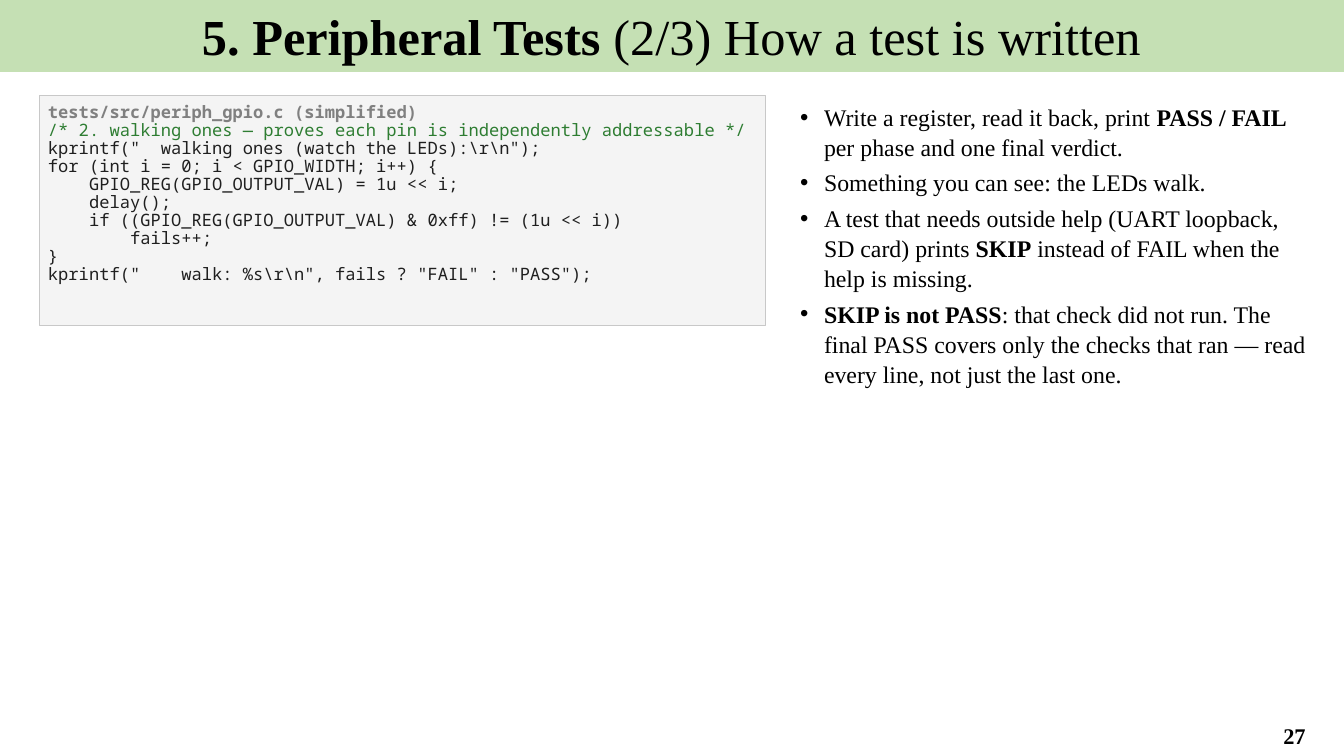
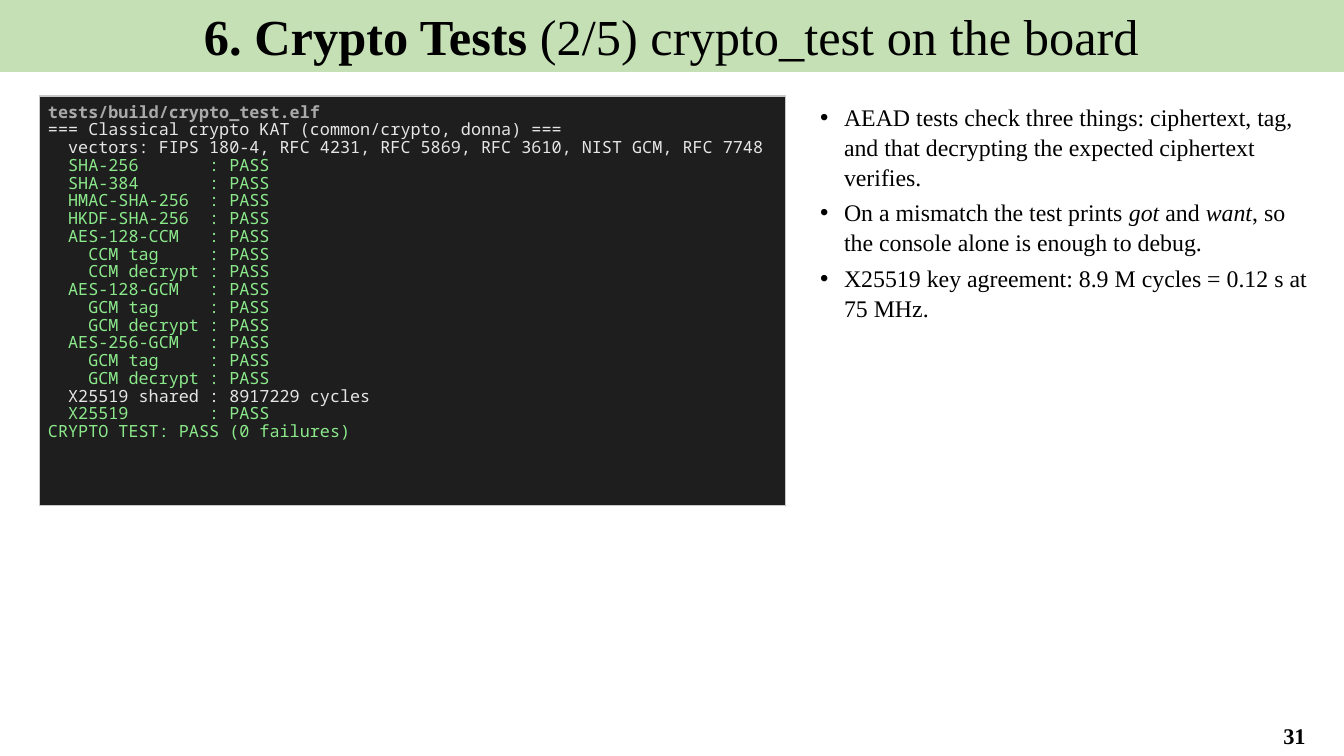
"""Build two test slides, each with a code panel beside bullet notes."""
from pptx import Presentation
from pptx.dml.color import RGBColor
from pptx.enum.shapes import MSO_SHAPE
from pptx.enum.text import MSO_ANCHOR, MSO_AUTO_SIZE, PP_ALIGN
from pptx.oxml.ns import qn
from pptx.util import Pt
from lxml import etree

RECT = MSO_SHAPE.RECTANGLE
TOP, MIDDLE = MSO_ANCHOR.TOP, MSO_ANCHOR.MIDDLE
LEFT, CENTER = PP_ALIGN.LEFT, PP_ALIGN.CENTER
FIXED = MSO_AUTO_SIZE.NONE

SCALE = 914400 / 100.8
SIZE = (1344, 756)
BAND = (-1, 0, 1345, 72)
PAGE = (1245, 716, 99, 39)
EDGE, HEAD, GAP, RIGHT = 40, 96, 20, 1320
HANG = (28, -24)
SERIF, MONO = "Times New Roman", "Noto Sans Mono"
GREEN, BLACK, BORDER = "C5E0B4", "000000", "C8C8C8"

SLIDES = [
    {
        "title": "|5. Peripheral Tests |(2/3) How a test is written",
        "page": "27",
        "panel": (726, 230),
        "depth": 554,
        "size": 12.2,
        "tones": {"fill": "F4F4F4", "head": "808080", "mark": "2E7D32", "plain": "1F1F1F"},
        "mark": "/*",
        "code": r"""tests/src/periph_gpio.c (simplified)
/* 2. walking ones — proves each pin is independently addressable */
kprintf("  walking ones (watch the LEDs):\r\n");
for (int i = 0; i < GPIO_WIDTH; i++) {
    GPIO_REG(GPIO_OUTPUT_VAL) = 1u << i;
    delay();
    if ((GPIO_REG(GPIO_OUTPUT_VAL) & 0xff) != (1u << i))
        fails++;
}
kprintf("    walk: %s\r\n", fails ? "FAIL" : "PASS");""",
        "stress": "bold",
        "notes": [
            "Write a register, read it back, print |PASS / FAIL| per phase and one final verdict.",
            "Something you can see: the LEDs walk.",
            "A test that needs outside help (UART loopback, SD card) prints |SKIP| "
            "instead of FAIL when the help is missing.",
            "|SKIP is not PASS|: that check did not run. The final PASS covers only "
            "the checks that ran — read every line, not just the last one.",
        ],
    },
    {
        "title": "|6. Crypto Tests |(2/5) crypto_test on the board",
        "page": "31",
        "panel": (746, 410),
        "depth": 585,
        "size": 12,
        "tones": {"fill": "1E1E1E", "head": "AAAAAA", "mark": "8BE98B", "plain": "E6E6E6"},
        "mark": "PASS",
        "code": """tests/build/crypto_test.elf
=== Classical crypto KAT (common/crypto, donna) ===
  vectors: FIPS 180-4, RFC 4231, RFC 5869, RFC 3610, NIST GCM, RFC 7748
  SHA-256       : PASS
  SHA-384       : PASS
  HMAC-SHA-256  : PASS
  HKDF-SHA-256  : PASS
  AES-128-CCM   : PASS
    CCM tag     : PASS
    CCM decrypt : PASS
  AES-128-GCM   : PASS
    GCM tag     : PASS
    GCM decrypt : PASS
  AES-256-GCM   : PASS
    GCM tag     : PASS
    GCM decrypt : PASS
  X25519 shared : 8917229 cycles
  X25519        : PASS
CRYPTO TEST: PASS (0 failures)""",
        "stress": "italic",
        "notes": [
            "AEAD tests check three things: ciphertext, tag, and that decrypting "
            "the expected ciphertext verifies.",
            "On a mismatch the test prints |got| and |want|, so the console alone "
            "is enough to debug.",
            "X25519 key agreement: 8.9 M cycles = 0.12 s at 75 MHz.",
        ],
    },
]


def px(n):
    return round(n * SCALE)


def color(code):
    return RGBColor.from_string(code)


def assign(item, values):
    for name, value in values.items():
        setattr(item, name, value)


def place(shape, box):
    assign(shape, dict(zip(("left", "top", "width", "height"), map(px, box))))


def paint(shape, fill):
    shape.fill.solid()
    shape.fill.fore_color.rgb = color(fill)


def frame(shape, anchor=TOP, pad=(10, 5)):
    text = shape.text_frame
    side, end = map(px, pad)
    assign(text, {
        "word_wrap": True, "auto_size": FIXED, "vertical_anchor": anchor,
        "margin_left": side, "margin_right": side,
        "margin_top": end, "margin_bottom": end,
    })
    return text


def lines(text, count):
    while len(text.paragraphs) < count:
        text.add_paragraph()
    return text.paragraphs


def layout(par, align=LEFT, gap=0, pitch=1.0):
    assign(par, {"alignment": align, "space_before": Pt(0),
                 "space_after": Pt(gap), "line_spacing": pitch})


def write(par, words, size, face=SERIF, tone=BLACK, **style):
    run = par.add_run()
    run.text = words
    assign(run.font, {"size": Pt(size), "name": face, "bold": False, **style})
    run.font.color.rgb = color(tone)


def rich(par, words, size, stress):
    for i, part in enumerate(words.split("|")):
        if part:
            write(par, part, size, **{stress: i % 2 == 1})


def bullet(par):
    props = par._p.get_or_add_pPr()
    for name, value in zip(("marL", "indent"), HANG):
        props.set(name, str(px(value)))
    etree.SubElement(props, qn("a:buChar")).set("char", "•")


def add_title(slide, words):
    title = slide.shapes.title
    place(title, BAND)
    paint(title, GREEN)
    par = frame(title).paragraphs[0]
    layout(par, CENTER)
    rich(par, words, 36, "bold")


def add_page(slide, label):
    box = slide.shapes.add_textbox(*map(px, PAGE))
    par = frame(box, MIDDLE).paragraphs[0]
    layout(par, CENTER)
    write(par, label, 16, bold=True)


def add_code(slide, data):
    tones = data["tones"]
    panel = slide.shapes.add_shape(RECT, *map(px, (EDGE, HEAD, *data["panel"])))
    panel.shadow.inherit = False
    paint(panel, tones["fill"])
    panel.line.color.rgb = color(BORDER)
    panel.line.width = Pt(0.75)
    code = data["code"].splitlines()
    pars = lines(frame(panel, pad=(8, 8)), len(code))
    for i, (par, line) in enumerate(zip(pars, code)):
        kind = "head" if i == 0 else "mark" if data["mark"] in line else "plain"
        layout(par, pitch=0.88)
        write(par, line, data["size"], MONO, tones[kind], bold=i == 0)


def add_notes(slide, data):
    body = slide.placeholders[1]
    left = EDGE + data["panel"][0] + GAP
    place(body, (left, HEAD, RIGHT - left, data["depth"]))
    pars = lines(frame(body), len(data["notes"]))
    for par, note in zip(pars, data["notes"]):
        layout(par, gap=4, pitch=1.05)
        bullet(par)
        rich(par, note, 17, data["stress"])


def main():
    deck = Presentation()
    deck.slide_width, deck.slide_height = map(px, SIZE)
    for data in SLIDES:
        slide = deck.slides.add_slide(deck.slide_layouts[1])
        add_title(slide, data["title"])
        add_page(slide, data["page"])
        add_code(slide, data)
        add_notes(slide, data)
    deck.save("out.pptx")


if __name__ == "__main__":
    main()
